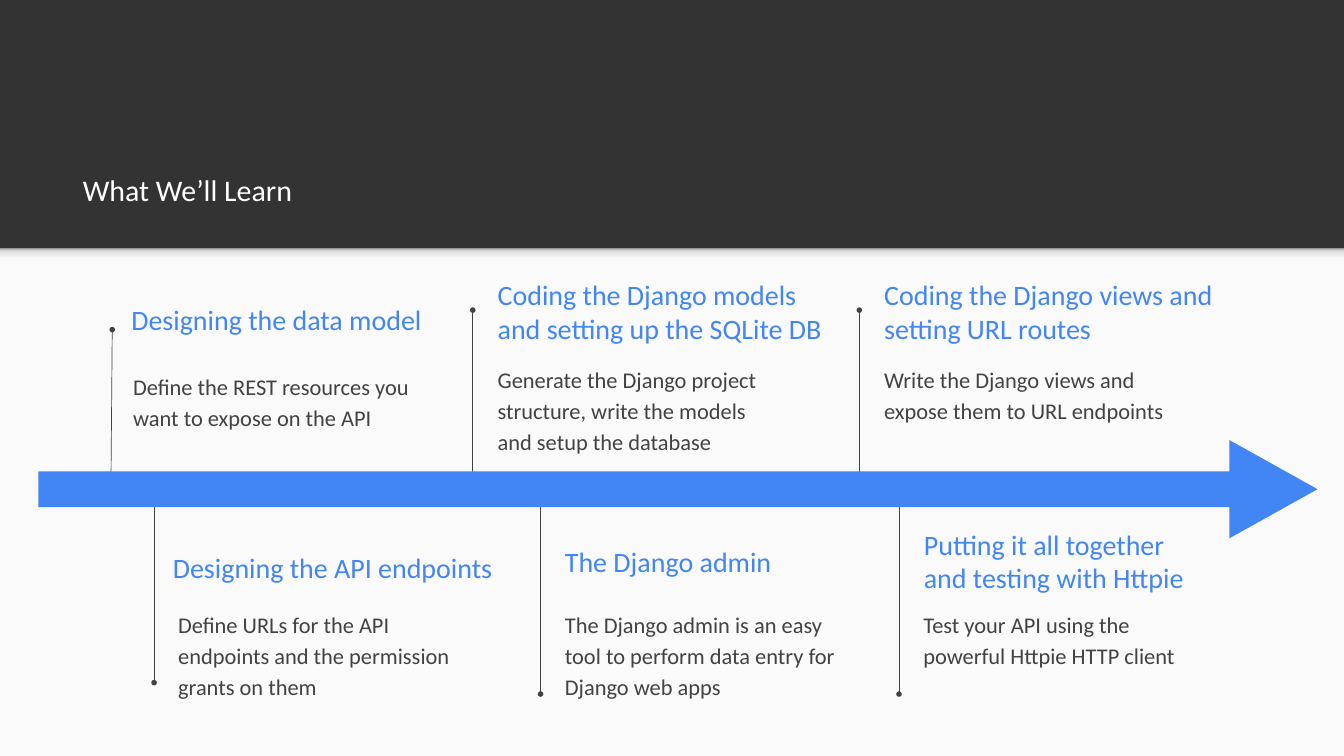
from lxml import etree
from pptx import Presentation
from pptx.dml.color import RGBColor
from pptx.enum.shapes import MSO_CONNECTOR, MSO_SHAPE
from pptx.enum.text import MSO_ANCHOR
from pptx.oxml.ns import qn
from pptx.util import Cm, Pt

RECTANGLE = MSO_SHAPE.RECTANGLE
TRIANGLE = MSO_SHAPE.ISOSCELES_TRIANGLE
STRAIGHT = MSO_CONNECTOR.STRAIGHT
TOP, MIDDLE, BOTTOM = MSO_ANCHOR.TOP, MSO_ANCHOR.MIDDLE, MSO_ANCHOR.BOTTOM

CHARCOAL = RGBColor(0x33, 0x33, 0x33)
PAPER = RGBColor(0xFA, 0xFA, 0xFA)
WHITE = RGBColor(0xFF, 0xFF, 0xFF)
BLUE = RGBColor(0x42, 0x85, 0xF4)
GRAY = RGBColor(0x42, 0x42, 0x42)
SHADE_STOPS = [(0, "F9F9F9"), (36, "F9F9F9"), (80, "DEDEDE"), (100, "999999")]

FONT = "Calibri"
INSET = 0.51
SLIDE_W, SLIDE_H = 50.77, 28.55
HEADER_H = 9.37
ARROW_BOX = (1.45, 16.62, 48.32, 3.71)
ARROW_MIDDLE = ARROW_BOX[1] + ARROW_BOX[3] / 2

# Each milestone: stem x, stem end, lean; heading box; body box; texts
MILESTONES = [
    ((4.24, 12.45, -0.05), (0.21, 10.46, 12.32, 3.23), (0.28, 13.44, 11.68, 3.23),
     "Designing the data model",
     "Define the REST resources you want to expose on the API"),
    ((5.82, 25.78, 0), (0.2, 20.32, 13.41, 2.18), (0.4, 22.43, 12.32, 3.23),
     "Designing the API endpoints",
     "Define URLs for the API endpoints and the permission grants on them"),
    ((17.86, 11.71, 0), (0.43, 10.67, 13.41, 2.18), (0.43, 13.16, 11.68, 3.23),
     "Coding the Django models and setting up the SQLite DB",
     "Generate the Django project structure, write the models and setup the database"),
    ((20.42, 26.21, 0), (0.41, 19.33, 17.04, 3.71), (0.41, 22.43, 11.68, 4.55),
     "The Django admin",
     "The Django admin is an easy tool to perform data entry for Django web apps"),
    ((32.46, 11.71, 0), (0.43, 10.67, 14.58, 2.18), (0.43, 13.16, 13.08, 3.23),
     "Coding the Django views and setting URL routes",
     "Write the Django views and expose them to URL endpoints"),
    ((33.96, 26.21, 0), (0.43, 19.33, 10.92, 3.71), (0.41, 22.43, 11.68, 4.55),
     "Putting it all together and testing with Httpie",
     "Test your API using the powerful Httpie HTTP client"),
]


def add_block(slide, kind, box, color):
    block = slide.shapes.add_shape(kind, *map(Cm, box))
    block.shadow.inherit = False
    block.fill.solid()
    block.fill.fore_color.rgb = color
    block.line.fill.background()
    return block


def add_text(slide, box, text, size, color, anchor, spacing=1.0):
    frame = slide.shapes.add_textbox(*map(Cm, box)).text_frame
    frame.word_wrap = True
    frame.vertical_anchor = anchor
    frame.margin_left = frame.margin_right = Cm(INSET)
    frame.margin_top = frame.margin_bottom = Cm(INSET)
    frame.text = text
    paragraph = frame.paragraphs[0]
    paragraph.line_spacing = spacing
    font = paragraph.runs[0].font
    font.name, font.size = FONT, Pt(size)
    font.color.rgb = color


def add_stem(slide, start, end):
    stem = slide.shapes.add_connector(STRAIGHT, *map(Cm, start + end))
    stem.line.color.rgb = GRAY
    stem.line.width = Pt(0.75)
    etree.SubElement(stem.line._get_or_add_ln(), qn("a:tailEnd"), type="oval")
    etree.SubElement(stem._element.spPr, qn("a:effectLst"))


def add_backdrop(slide, left, top, width, height):
    slide.background.fill.solid()
    slide.background.fill.fore_color.rgb = CHARCOAL
    add_block(slide, RECTANGLE, (left, top, width, height), PAPER)
    shade = add_block(slide, RECTANGLE, (left, top, width, 0.61), PAPER)
    shade.fill.gradient()
    shade.fill.gradient_angle = 90
    stops = shade._element.spPr.find(".//" + qn("a:gsLst"))
    for stop in list(stops):
        stops.remove(stop)
    for percent, color in SHADE_STOPS:
        stop = etree.SubElement(stops, qn("a:gs"), pos=str(percent * 1000))
        etree.SubElement(stop, qn("a:srgbClr"), val=color)


def add_milestone(slide, stem, heading_box, body_box, heading, body):
    x, end, lean = stem
    add_stem(slide, (x + lean, ARROW_MIDDLE), (x, end))
    heading_dx, *heading_rest = heading_box
    body_dx, *body_rest = body_box
    add_text(slide, (x + heading_dx, *heading_rest), heading, 30, BLUE, MIDDLE)
    add_text(slide, (x + body_dx, *body_rest), body, 24, GRAY, TOP, 1.15)


def add_timeline_arrow(slide, left, top, width, height):
    head_w, shaft_h = 3.33, 1.35
    middle = top + height / 2
    head_x = left + width - head_w / 2
    head = add_block(slide, TRIANGLE,
                     (head_x - height / 2, middle - head_w / 2, height, head_w), BLUE)
    head.rotation = 90
    add_block(slide, RECTANGLE,
              (left, middle - shaft_h / 2, width - head_w + 0.6, shaft_h), BLUE)


def main():
    prs = Presentation()
    prs.slide_width, prs.slide_height = Cm(SLIDE_W), Cm(SLIDE_H)
    slide = prs.slides.add_slide(prs.slide_layouts[6])
    add_backdrop(slide, 0, HEADER_H, SLIDE_W, SLIDE_H - HEADER_H)
    add_text(slide, (2.62, 4.09, 45.67, 4.27), "What We’ll Learn", 32, WHITE, BOTTOM)
    for milestone in MILESTONES:
        add_milestone(slide, *milestone)
    add_timeline_arrow(slide, *ARROW_BOX)
    prs.save("out.pptx")


if __name__ == "__main__":
    main()
